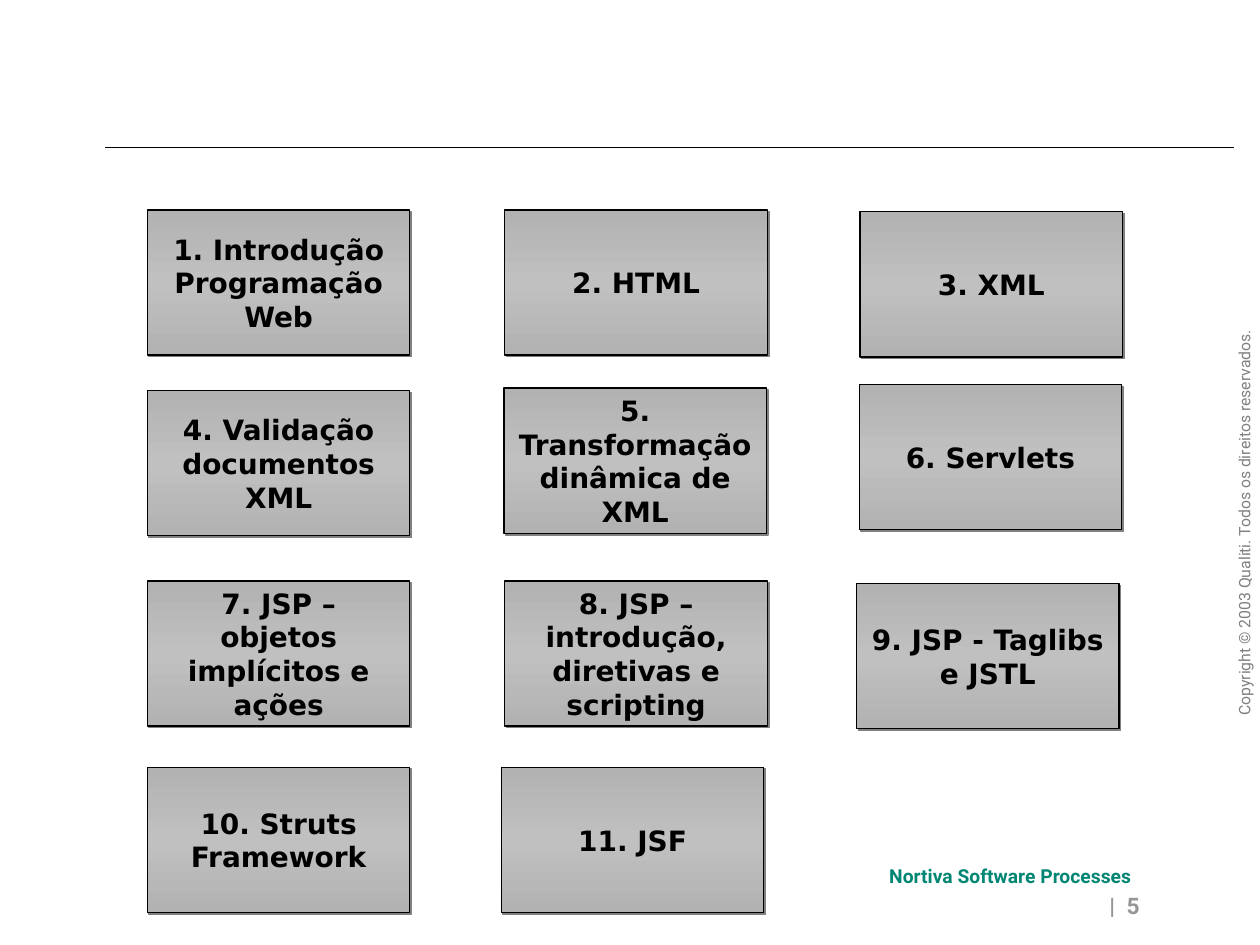
from copy import deepcopy

from lxml.etree import SubElement
from pptx import Presentation
from pptx.dml.color import RGBColor
from pptx.enum.shapes import MSO_CONNECTOR, MSO_SHAPE
from pptx.enum.text import MSO_ANCHOR, PP_ALIGN
from pptx.oxml.ns import qn
from pptx.util import Pt

# Text, then the small shift (x, y) of the card from its grid place
MODULES = [
    [("1. Introdução Programação Web", 0, 0), ("2. HTML", 0, 0), ("3. XML", 0, 1)],
    [("4. Validação documentos XML", 0, 1.5),
     ("5. Transformação dinâmica de XML", -0.5, 0), ("6. Servlets", -0.5, -2)],
    [("7. JSP – objetos implícitos e ações", 0, 0),
     ("8. JSP – introdução, diretivas e scripting", 0, 0),
     ("9. JSP - Taglibs e JSTL", -2, 1.5)],
    [("10. Struts Framework", 0, 0), ("11. JSF", -2, 0)],
]
COLUMN_LEFTS = [84.25, 288.5, 491.5]
ROW_TOPS = [120, 221.75, 332, 438.5]
CARD_WIDTH, CARD_HEIGHT = 150, 83

# Text, (left, top, width, height), size, colour, bold, alignment, wrap, rotation
LABELS = [
    ("Copyright © 2003 Qualiti. Todos os direitos reservados.",
     (587.5, 283.5, 247, 18), 9, "808080", False, PP_ALIGN.LEFT, False, 270),
    ("Nortiva Software Processes",
     (501, 490.25, 161.5, 21), 11, "008673", True, PP_ALIGN.LEFT, False, 0),
    ("|  5", (310.5, 506, 347.75, 24), 13, "969696", True, PP_ALIGN.RIGHT, True, 0),
]


def color(value):
    return RGBColor.from_string(value)


def write(shape, text, size, font, text_color, bold, align):
    para = shape.text_frame.paragraphs[0]
    para.alignment = align
    span = para.add_run()
    span.text = text
    span.font.size = Pt(size)
    span.font.name = font
    span.font.bold = bold
    span.font.color.rgb = color(text_color)


def fill_gradient(shape):
    """Grey at top and bottom, lighter in the middle."""
    shape.fill.gradient()
    shape.fill.gradient_angle = 90
    stop_list = shape.element.spPr.find(".//" + qn("a:gsLst"))
    stop_list.insert(1, deepcopy(stop_list[0]))
    stops = [(0, "B2B2B2"), (0.5, "C0C0C0"), (1, "B2B2B2")]
    for stop, (position, value) in zip(shape.fill.gradient_stops, stops):
        stop.position = position
        stop.color.rgb = color(value)


def cast_shadow(shape):
    """Hard grey shadow towards the lower right."""
    shape.shadow.inherit = False
    effects = shape.element.spPr.find(qn("a:effectLst"))
    shadow = SubElement(effects, qn("a:outerShdw"), blurRad="0",
                        dist=str(Pt(1.4)), dir="2700000", algn="ctr", rotWithShape="0")
    SubElement(shadow, qn("a:srgbClr"), val="808080")


def add_card(page, text, left, top):
    card = page.shapes.add_shape(MSO_SHAPE.RECTANGLE, Pt(left), Pt(top),
                                 Pt(CARD_WIDTH), Pt(CARD_HEIGHT))
    fill_gradient(card)
    card.line.color.rgb = color("000000")
    card.line.width = Pt(0.75)
    cast_shadow(card)
    card.text_frame.word_wrap = True
    card.text_frame.vertical_anchor = MSO_ANCHOR.MIDDLE
    write(card, text, 16, "DejaVu Sans", "000000", True, PP_ALIGN.CENTER)


def main():
    deck = Presentation()
    deck.slide_width, deck.slide_height = Pt(720), Pt(540)
    page = deck.slides.add_slide(deck.slide_layouts[6])

    rule = page.shapes.add_connector(MSO_CONNECTOR.STRAIGHT,
                                     Pt(705), Pt(84.25), Pt(59.75), Pt(84.25))
    rule.line.color.rgb = color("000000")
    rule.line.width = Pt(0.75)
    SubElement(rule._element.spPr, qn("a:effectLst"))

    for text, place, size, text_color, bold, align, wrap, rotation in LABELS:
        box = page.shapes.add_textbox(*map(Pt, place))
        box.rotation = rotation
        box.text_frame.word_wrap = wrap
        write(box, text, size, "Roboto", text_color, bold, align)

    for top, row in zip(ROW_TOPS, MODULES):
        for left, (text, shift_x, shift_y) in zip(COLUMN_LEFTS, row):
            add_card(page, text, left + shift_x, top + shift_y)

    deck.save("out.pptx")


if __name__ == "__main__":
    main()
